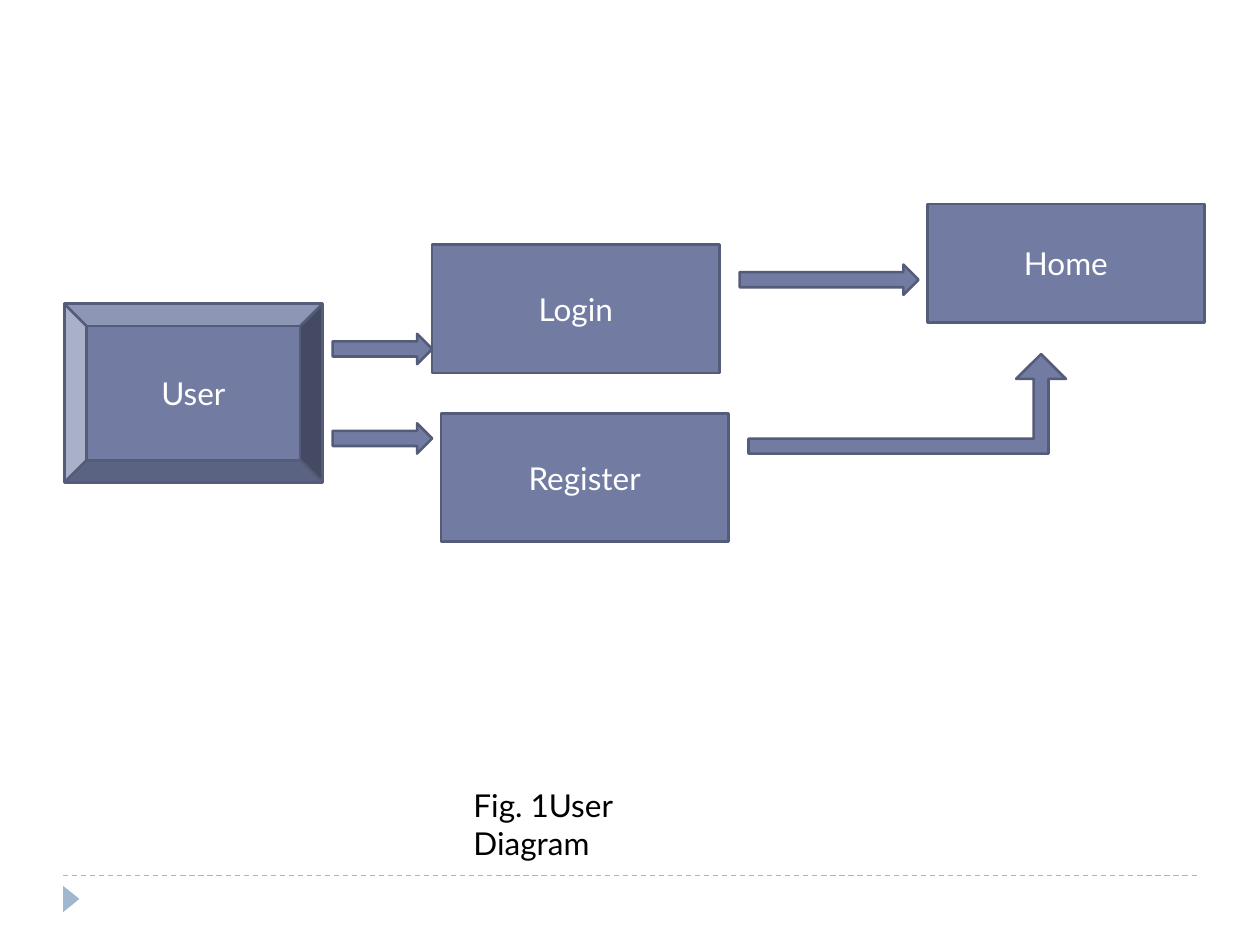
from dataclasses import dataclass

from lxml.etree import SubElement
from pptx import Presentation
from pptx.dml.color import RGBColor as Color
from pptx.enum.dml import MSO_LINE_DASH_STYLE as Dash
from pptx.enum.shapes import MSO_CONNECTOR_TYPE as Connector, MSO_SHAPE as Shape
from pptx.enum.text import MSO_ANCHOR as Anchor, PP_ALIGN as Align
from pptx.oxml.ns import qn
from pptx.util import Inches, Pt


@dataclass(frozen=True)
class Theme:
    """Colours, font and sizes of the slide."""
    fill: Color = Color.from_string("727CA3")
    outline: Color = Color.from_string("545C79")
    accent: Color = Color.from_string("9FB8CD")
    light: Color = Color.from_string("FFFFFF")
    dark: Color = Color.from_string("000000")
    font: str = "Lato"
    text_size: Pt = Pt(18)
    outline_width: Pt = Pt(1.5)
    rule_width: Pt = Pt(0.75)


THEME = Theme()


def apply_format(target, values):
    """Set each attribute of the target from a dict."""
    for name, value in values.items():
        setattr(target, name, value)


def write_text(shape, text, color, align, anchor):
    """Write one formatted paragraph into a shape."""
    frame = shape.text_frame
    apply_format(frame, {"word_wrap": True, "vertical_anchor": anchor})
    paragraph = frame.paragraphs[0]
    paragraph.alignment = align
    run = paragraph.add_run()
    run.text = text
    apply_format(run.font, {"name": THEME.font, "size": THEME.text_size})
    run.font.color.rgb = color


def add_solid(slide, kind, box, fill):
    """Add a flat preset shape in a box of inches."""
    shape = slide.shapes.add_shape(kind, *map(Inches, box))
    shape.shadow.inherit = False
    shape.fill.solid()
    shape.fill.fore_color.rgb = fill
    return shape


def add_part(slide, kind, box, text="", adjustments=()):
    """Add an outlined diagram part with an optional label."""
    shape = add_solid(slide, kind, box, THEME.fill)
    shape.line.color.rgb = THEME.outline
    shape.line.width = THEME.outline_width
    for index, value in enumerate(adjustments):
        shape.adjustments[index] = value
    if text:
        write_text(shape, text, THEME.light, Align.CENTER, Anchor.MIDDLE)


def add_diagram(slide, left, top):
    """Place the user flow relative to its top left corner."""
    parts = [
        (Shape.RECTANGLE, (2.92, 0.32, 2.28, 1.02), "Login"),
        (Shape.RIGHT_ARROW, (5.36, 0.48, 1.42, 0.24)),
        (Shape.RECTANGLE, (6.85, 0, 2.2, 0.94), "Home"),
        (Shape.RECTANGLE, (2.99, 1.66, 2.28, 1.02), "Register"),
        (Shape.BEVEL, (0, 0.79, 2.05, 1.42), "User"),
        (Shape.RIGHT_ARROW, (2.13, 1.03, 0.79, 0.24)),
        (Shape.RIGHT_ARROW, (2.13, 1.74, 0.79, 0.24)),
        (Shape.BENT_UP_ARROW, (5.43, 1.19, 2.52, 0.79), "", (0.15, 0.25, 0.25)),
    ]
    for kind, (x, y, width, height), *details in parts:
        add_part(slide, kind, (left + x, top + y, width, height), *details)


def add_footer(slide, left, top, width):
    """Place the dashed rule and the marker below it."""
    ends = map(Inches, (left, top, left + width, top))
    rule = slide.shapes.add_connector(Connector.STRAIGHT, *ends)
    apply_format(rule.line, {"width": THEME.rule_width, "dash_style": Dash.DASH})
    rule.line.color.rgb = THEME.accent
    SubElement(rule._element.spPr, qn("a:effectLst"))
    marker_box = (left - 0.04, top + 0.12, 0.21, 0.13)
    marker = add_solid(slide, Shape.ISOSCELES_TRIANGLE, marker_box, THEME.accent)
    marker.rotation = 90
    marker.line.fill.background()


def add_caption(slide, left, top, width, height):
    """Place the figure caption in its box."""
    caption = slide.shapes.add_textbox(*map(Inches, (left, top, width, height)))
    write_text(caption, "Fig. 1User Diagram", THEME.dark, Align.LEFT, Anchor.TOP)


def main():
    """Build and save the presentation."""
    presentation = Presentation()
    apply_format(presentation, {"slide_width": Inches(10), "slide_height": Inches(7.5)})
    slide = presentation.slides.add_slide(presentation.slide_layouts[6])
    add_footer(slide, 0.5, 6.95, 9)
    add_diagram(slide, 0.51, 1.62)
    add_caption(slide, 3.66, 6.19, 2.13, 0.4)
    presentation.save("out.pptx")


main()
